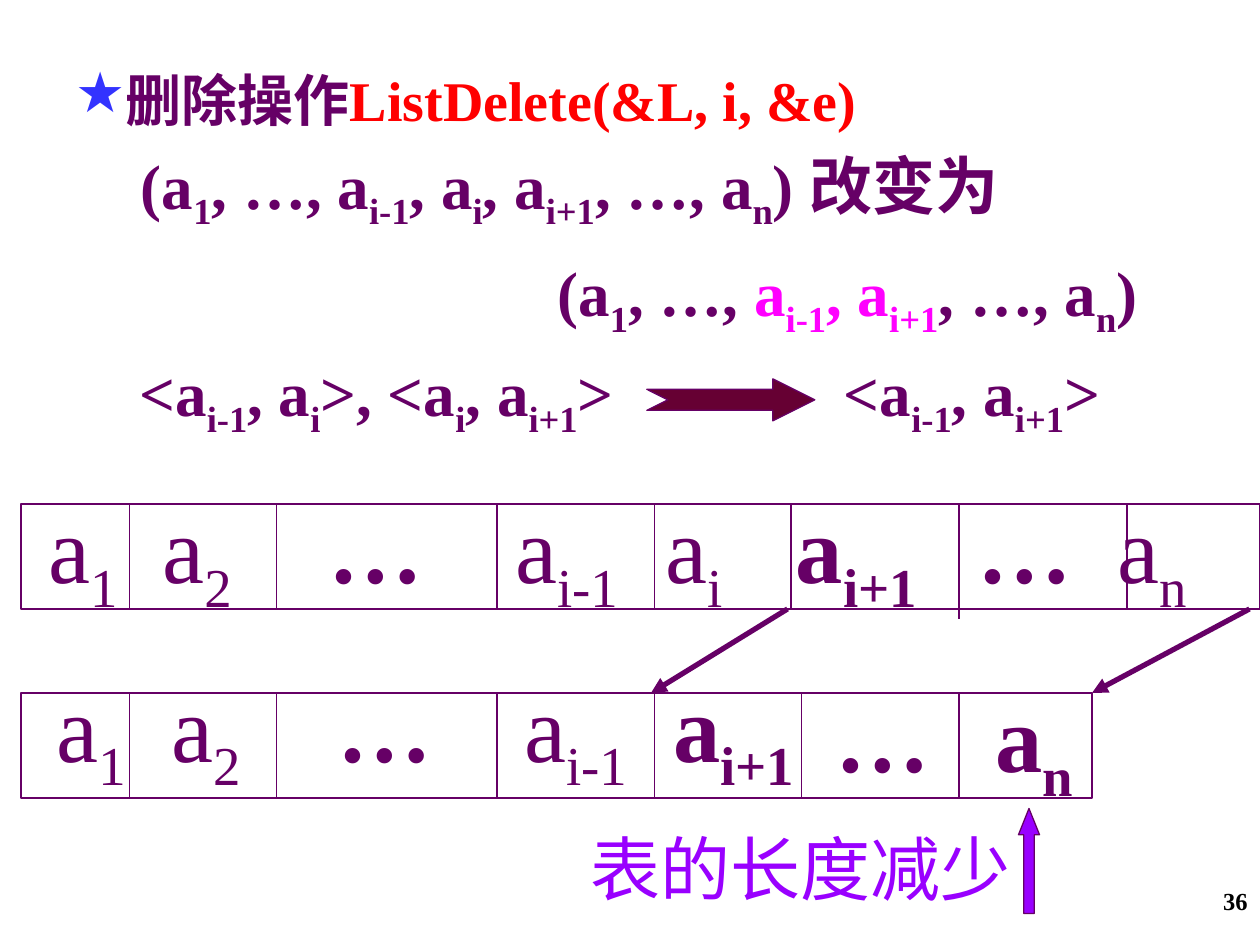
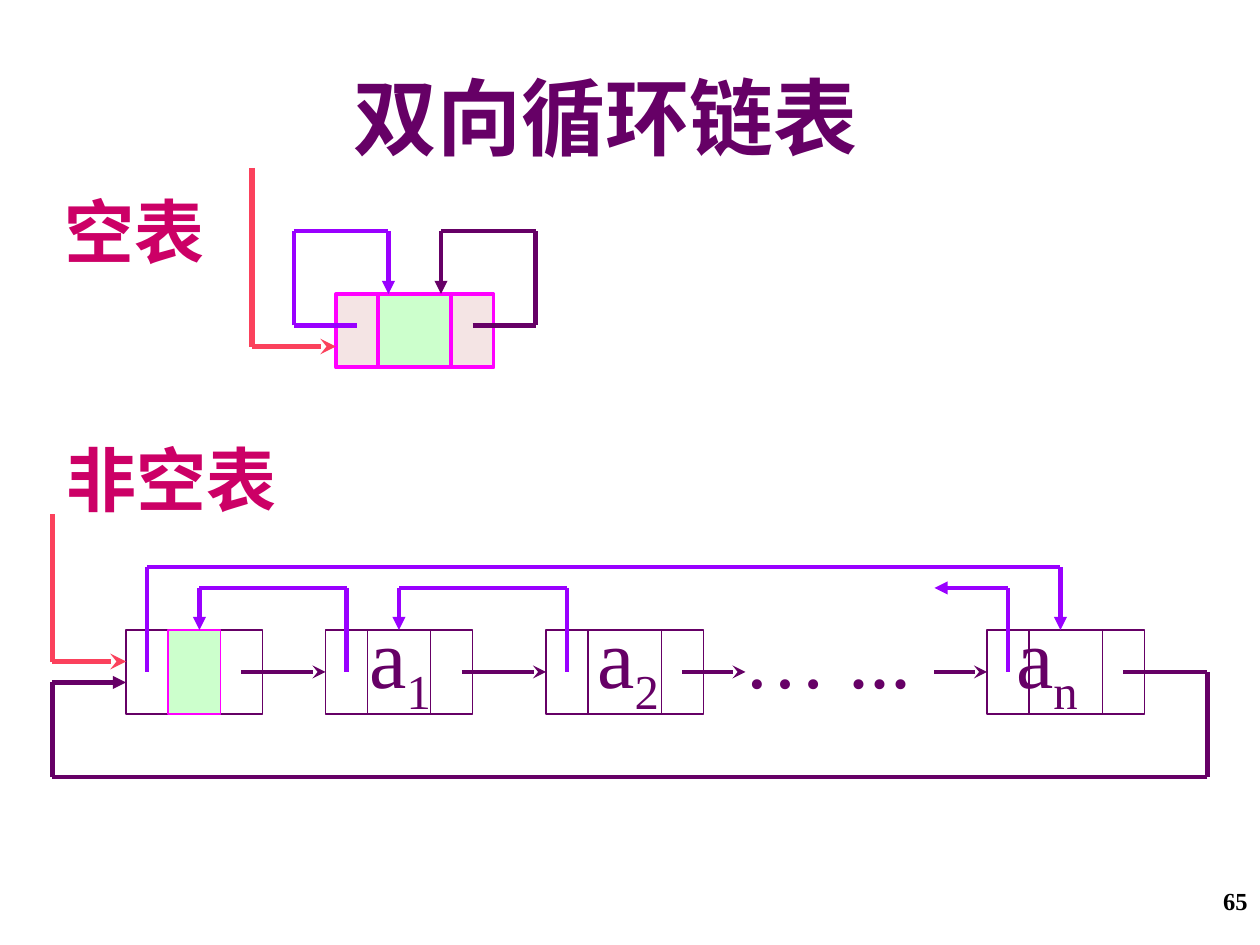
from collections import namedtuple
from dataclasses import dataclass
from itertools import pairwise

from lxml import etree
from pptx import Presentation
from pptx import util as u
from pptx.dml.color import RGBColor
from pptx.enum import shapes, text
from pptx.oxml import ns

Box = namedtuple("Box", "left top width height")
Cell = namedtuple("Cell", "width label shift bold rise", defaults=(False, 2))
Node = namedtuple("Node", "left width divider label shift")

COLUMNS, ROWS = 120, 90
UNIT = u.Inches(10) // COLUMNS


@dataclass(frozen=True)
class Theme:
    """Colours, type sizes and line weights of the deck."""

    font: str = "Times New Roman"
    plum: str = "660066"
    maroon: str = "660033"
    violet: str = "9900FF"
    magenta: str = "FF00FF"
    red: str = "FF0000"
    coral: str = "FB415C"
    crimson: str = "CC0066"
    star: str = "3333FF"
    mint: str = "CCFFCC"
    blush: str = "F4E4E4"
    black: str = "000000"
    number: int = 14
    heading: int = 32
    formula: int = 36
    caption: int = 40
    title: int = 48
    element: int = 54
    thin: float = 0.75
    frame: float = 2.25
    link: float = 2.5
    pointer: float = 3


THEME = Theme()


def grid(count):
    """Turn a count of grid units into a length."""
    return u.Emu(round(count * UNIT))


def add_xml(parent, tag, **attributes):
    """Append a DrawingML element and return it."""
    return etree.SubElement(parent, ns.qn(tag), attributes)


def write(page, box, *lines, size, color=THEME.plum, bold=True, align=None,
          spacing=None, indents=(), bullet=None):
    """Write lines of text or (text, colour) spans; underscores enclose subscripts."""
    frame = page.shapes.add_textbox(*map(grid, box)).text_frame
    frame.word_wrap = True
    for index, line in enumerate(lines):
        para = frame.add_paragraph() if index else frame.paragraphs[0]
        props = para._p.get_or_add_pPr()
        if indents:
            props.set("marL", str(grid(indents[index])))
        if bullet:
            mark, tint, hang = bullet
            props.set("indent", str(-grid(hang)))
            add_xml(add_xml(props, "a:buClr"), "a:srgbClr", val=tint)
            add_xml(props, "a:buChar", char=mark)
        para.alignment = align
        para.line_spacing = spacing
        spans = [(line, color)] if isinstance(line, str) else line
        for words, tint in spans:
            for order, part in enumerate(words.split("_")):
                if not part:
                    continue
                span = para.add_run()
                span.text = part
                span.font.name = THEME.font
                span.font.size = u.Pt(size)
                span.font.bold = bold
                span.font.color.rgb = RGBColor.from_string(tint)
                if order % 2:
                    span._r.get_or_add_rPr().set("baseline", "-25000")


def paint(shape, fill=None, line=THEME.plum, weight=THEME.thin):
    """Give a shape its fill and outline."""
    shape.shadow.inherit = False
    if fill:
        shape.fill.solid()
        shape.fill.fore_color.rgb = RGBColor.from_string(fill)
    else:
        shape.fill.background()
    shape.line.color.rgb = RGBColor.from_string(line)
    shape.line.width = u.Pt(weight)


def add_box(page, box, **style):
    """Draw a rectangle."""
    paint(page.shapes.add_shape(shapes.MSO_SHAPE.RECTANGLE, *map(grid, box)), **style)


def route(page, origin, *points, color=THEME.plum, weight=THEME.link, head=None):
    """Join points by straight lines, with an arrowhead on the last one."""
    corners = [(grid(origin[0] + x), grid(origin[1] + y)) for x, y in points]
    for start, end in pairwise(corners):
        line = page.shapes.add_connector(shapes.MSO_CONNECTOR.STRAIGHT, *start, *end)
        line.line.color.rgb = RGBColor.from_string(color)
        line.line.width = u.Pt(weight)
        if head and end == corners[-1]:
            add_xml(line.line._get_or_add_ln(), "a:tailEnd", type=head)
        add_xml(line._element.spPr, "a:effectLst")


def add_divider(page, box, x, extra=0):
    """Draw an upright line across a box."""
    route(page, box, (x, 0), (x, box.height + extra), weight=THEME.thin)


def add_page(deck, number):
    """Add a blank page with its number in the corner."""
    page = deck.slides.add_slide(deck.slide_layouts[6])
    write(page, Box(92, 83.76, 28, 6.24), str(number), size=THEME.number,
          color=THEME.black, align=text.PP_ALIGN.RIGHT)
    return page


def add_array(page, box, cells, long_divider=None):
    """Draw a row of list elements with dividers between them."""
    x = 0
    for index, cell in enumerate(cells):
        if index:
            add_divider(page, box, x, extra=int(index == long_divider))
        write(page, Box(box.left + x + cell.shift, box.top - cell.rise, 18, 13.5),
              cell.label, size=THEME.element, bold=cell.bold)
        x += cell.width
    add_box(page, box)


def add_notched_arrow(page, box):
    """Draw a right arrow with a notched tail."""
    x, y = box.width / 8, box.height / 4
    outline = [(0, 1), (6, 1), (6, 0), (8, 2), (6, 4), (6, 3), (0, 3), (1, 2)]
    points = [(grid(a * x), grid(b * y)) for a, b in outline]
    builder = page.shapes.build_freeform(*points[0])
    builder.add_line_segments(points[1:], close=True)
    paint(builder.convert_to_shape(grid(box.left), grid(box.top)), THEME.maroon)


def add_formulas(page, box):
    """Write the sequence and its pairs before and after deletion."""
    left, top = box.left, box.top
    write(page, Box(left, top, 104, 22),
          "(a_1_, …, a_i-1_, a_i_, a_i+1_, …, a_n_) 改变为",
          [("(a_1_, …,", THEME.plum), (" a_i-1_, a_i+1_", THEME.magenta),
           (", …, a_n_)", THEME.plum)],
          size=THEME.formula, spacing=1.25, indents=(0.83, 40.5))
    write(page, Box(left + 0.7, top + 21.8, 50, 9.5),
          "<a_i-1_, a_i_>, <a_i_, a_i+1_>", size=THEME.formula)
    add_notched_arrow(page, Box(left + 50.2, top + 24.8, 16, 4))
    write(page, Box(left + 67.8, top + 21.8, 30, 9.5),
          "<a_i-1_, a_i+1_>", size=THEME.formula)


def add_length_note(page, box):
    """Write the note on the list length beside an upward arrow."""
    write(page, Box(box.left, box.top + 1, box.width, 9), "表的长度减少",
          size=THEME.caption, color=THEME.violet, bold=False)
    arrow = page.shapes.add_shape(
        shapes.MSO_SHAPE.UP_ARROW,
        *map(grid, (box.left + 41.9, box.top, 2, box.height)))
    arrow.adjustments[1] = 1.25
    paint(arrow, THEME.violet)


def build_deletion(deck):
    """Build the page on deleting an element."""
    page = add_page(deck, 36)
    add_formulas(page, Box(11.4, 11.28, 98, 32))
    before = [Cell(10.33, "a_1_", 1.4), Cell(14, "a_2_", 1.95),
              Cell(21, "…", 3.8, True), Cell(15, "a_i-1_", 0.55),
              Cell(13, "a_i_", -0.15), Cell(16, "a_i+1_", -0.7, True),
              Cell(16, "…", 0.55, True), Cell(12.67, "a_n_", -2.1)]
    after = [Cell(10.33, "a_1_", 2.2, rise=3), Cell(14, "a_2_", 2.8, rise=3),
             Cell(21, "…", 4.6, True, 3), Cell(15, "a_i-1_", 1.4, rise=3),
             Cell(14, "a_i+1_", 0.6, True, 3), Cell(15, "…", 2.1, True),
             Cell(12.67, "a_n_", 2.3, True)]
    add_array(page, Box(2, 48, 118, 10), before, long_divider=6)
    add_array(page, Box(2, 66, 102, 10), after)
    for start, end in ((75, 62), (119, 104)):
        route(page, (0, 58), (start, 0), (end, 8), weight=THEME.pointer, head="triangle")
    add_length_note(page, Box(55.1, 77, 44, 10))
    write(page, Box(0, 5.64, 108, 8.6),
          [("删除操作", THEME.plum), ("ListDelete(&L, i, &e)", THEME.red)],
          size=THEME.heading, indents=(9.72,), bullet=("★", THEME.star, 3.72))


def add_empty_list(page, box):
    """Draw a head node whose two links lead back to itself."""
    for x, width, fill in ((4, 7, THEME.mint), (11, 4, THEME.blush), (0, 4, THEME.blush)):
        add_box(page, Box(box.left + x, box.top, width, box.height),
                fill=fill, line=THEME.magenta, weight=THEME.frame)
    route(page, box, (13, 3), (19, 3), (19, -6), (10, -6), (10, 0), head="triangle")
    route(page, box, (2, 3), (-4, 3), (-4, -6), (5, -6), (5, 0),
          color=THEME.violet, head="triangle")
    route(page, box, (-8, -12), (-8, 5), (0, 5),
          color=THEME.coral, weight=THEME.pointer, head="stealth")


def add_node(page, box, node):
    """Draw a node with its two link fields and its label."""
    add_box(page, box)
    for x in (4, node.divider):
        add_divider(page, box, x)
    if node.label:
        write(page, Box(box.left + node.shift, box.top - 3, 14, 12),
              node.label, size=THEME.title, bold=False)
    else:
        add_box(page, Box(box.left + 4, box.top, node.divider - 4, box.height),
                fill=THEME.mint, line=THEME.magenta)


def add_full_list(page, box):
    """Draw the ring of nodes with its forward and backward links."""
    nodes = [Node(7, 13, 9, "", 0), Node(26, 14, 10, "a_1_", 3),
             Node(47, 15, 11, "a_2_", 3.7), Node(89, 15, 11, "a_n_", 1.6)]
    for node in nodes:
        add_node(page, Box(box.left + node.left, box.top + 11, node.width, 8), node)
    write(page, Box(box.left + 64.6, box.top + 8, 22, 12), "… ...",
          size=THEME.title, bold=False)
    for start, end in ((18, 26), (39, 47), (60, 66), (84, 89)):
        route(page, box, (start, 15), (end, 15), head="stealth")
    route(page, box, (102, 15), (110, 15), (110, 25), (0, 25), (0, 16), (7, 16),
          head="triangle")
    for start, level, end in ((9, 5, 96), (28, 7, 14), (49, 7, 33)):
        route(page, box, (start, 15), (start, level), (end, level), (end, 11),
              color=THEME.violet, head="triangle")
    route(page, box, (91, 15), (91, 7), (84, 7), color=THEME.violet, head="triangle")
    route(page, box, (0, 0), (0, 14), (7, 14),
          color=THEME.coral, weight=THEME.pointer, head="stealth")


def build_circular_list(deck):
    """Build the page on the doubly linked circular list."""
    page = add_page(deck, 65)
    write(page, Box(32.5, 5.64, 54, 10.8), "双向循环链表", size=THEME.title)
    for left, top, caption in ((5, 17.4, "空表"), (5.2, 41, "非空表")):
        write(page, Box(left, top, 25, 9.2), caption,
              size=THEME.caption, color=THEME.crimson)
    add_empty_list(page, Box(32, 28, 15, 7))
    add_full_list(page, Box(5, 49, 110, 25))


def main():
    """Build and save the deck."""
    deck = Presentation()
    deck.slide_width, deck.slide_height = grid(COLUMNS), grid(ROWS)
    build_deletion(deck)
    build_circular_list(deck)
    deck.save("out.pptx")


if __name__ == "__main__":
    main()
